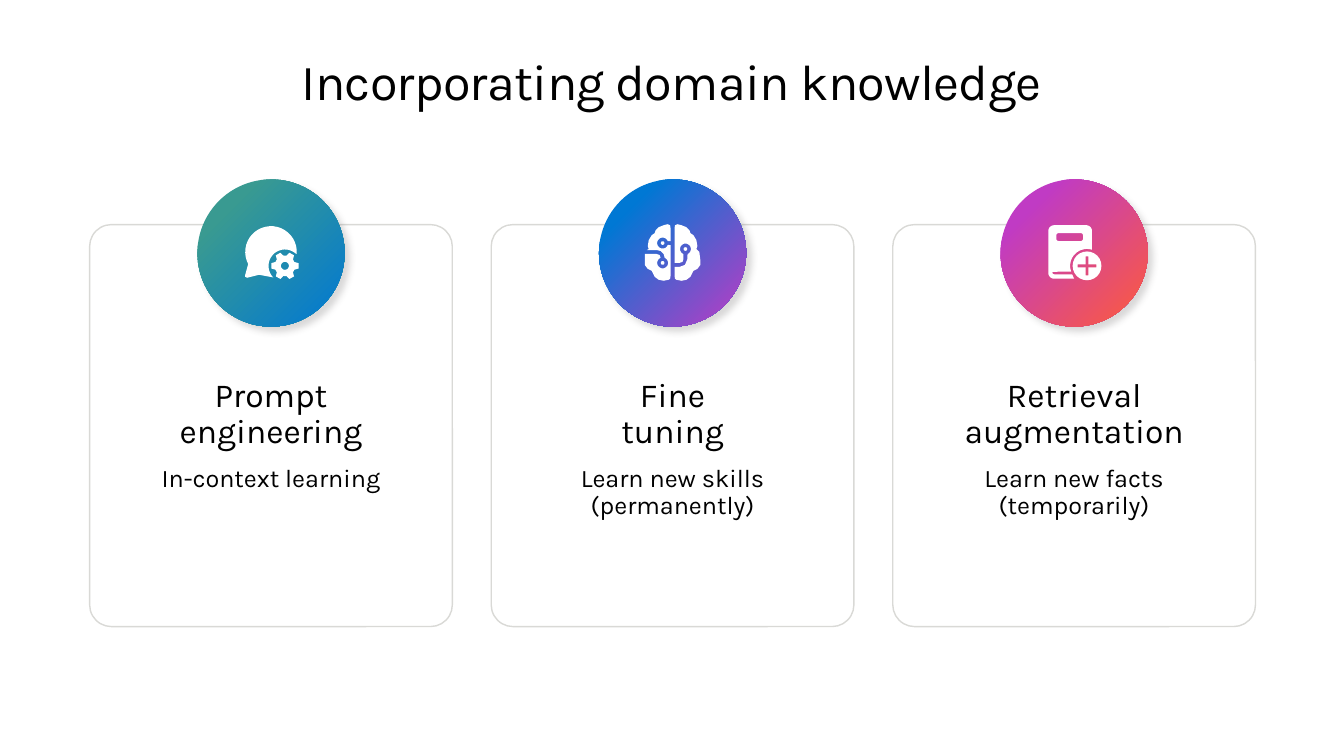
from dataclasses import dataclass
from math import cos, radians, sin

from pptx import Presentation
from pptx.dml.color import RGBColor
from pptx.enum.shapes import MSO_SHAPE
from pptx.enum.text import MSO_ANCHOR, MSO_AUTO_SIZE, PP_ALIGN
from pptx.oxml import parse_xml
from pptx.oxml.ns import nsdecls, qn
from pptx.util import Cm, Pt


@dataclass(frozen=True)
class Theme:
    font: str = "Karla"
    text: str = "000000"
    surface: str = "FFFFFF"
    border: str = "D9D9D6"
    shadow: str = "454142"
    green: str = "399A91"
    blue: str = "0078D4"
    purple: str = "C03BC4"
    orange: str = "FF5C39"
    title_size: int = 36
    heading_size: int = 24
    body_size: int = 18


theme = Theme()


def write_text(box, text, size, line_spacing=1.0, tracking=None):
    """Fill a box with centred text; a vertical tab breaks a line."""
    frame = box.text_frame
    frame.word_wrap = True
    frame.auto_size = MSO_AUTO_SIZE.NONE
    frame.vertical_anchor = MSO_ANCHOR.TOP
    frame.margin_left = frame.margin_right = 0
    frame.margin_top = frame.margin_bottom = 0
    frame.text = text
    for para in frame.paragraphs:
        para.alignment = PP_ALIGN.CENTER
        para.line_spacing = line_spacing
        para.space_before = para.space_after = Pt(0)
        for span in para.runs:
            span.font.name = theme.font
            span.font.size = Pt(size)
            span.font.color.rgb = RGBColor.from_string(theme.text)
            if tracking is not None:
                span.font._element.set("spc", str(int(tracking * 100)))


def arc(x, y, radius, start=0, end=360, steps=24):
    """Points along an arc, with angles in degrees, clockwise from the right."""
    angles = [radians(start + (end - start) * i / steps) for i in range(steps + 1)]
    return [(x + radius * cos(a), y + radius * sin(a)) for a in angles]


# Icon outlines, in units of 0.025 cm from the circle centre
bubble = (arc(14, 13, 16.5, -47, -225)
          + [(-12, 22), (-24, 25), (-26, 24), (-26, 22), (-23, 11)]
          + arc(0, -1, 26, 152, 364))
gear = [point for angle in range(0, 360, 60)
        for point in arc(14, 13, 14, angle - 11, angle + 11, 1)
        + arc(14, 13, 10.3, angle + 22, angle + 38, 2)]
chat_icon = [bubble, gear, arc(14, 13, 4)]

lobe_top = [(5, -29), (9, -28), (14, -26), (17, -23), (18, -20), (21, -18),
            (24, -13), (25, -7), (24, -4)]
lobe_bottom = [(28, 7), (28, 12), (25, 16), (21, 18), (18, 24), (14, 27),
               (9, 28), (4, 27), (2.5, 26), (2, 23)]
left_lobe = ([(-x, y) for x, y in reversed(lobe_bottom)]
             + [(-28, 1), (-16, 1), (-13, 2)]
             + arc(-10, 10, 5.5, -112, -428)
             + [(-9, 1), (-12, -2), (-16, -3), (-26, -3)]
             + [(-x, y) for x, y in reversed(lobe_top)]
             + [(-2.5, -28), (-2, -25), (-2, -12)]
             + arc(-10, -10, 5.5, -20, -340) + [(-2, -8)])
right_lobe = ([(2, 14), (7, 14), (12.5, 12), (15, 6)]
              + arc(13, -4, 5.5, 68, -248)
              + [(11, 6), (10, 9), (7, 10), (2, 10), (2, -25), (2.5, -28)]
              + lobe_top + [(27, -1)] + lobe_bottom)
brain_icon = [left_lobe, right_lobe, arc(-10, -10, 1.8), arc(-10, 10, 1.8),
              arc(13, -4, 1.8)]

book = (arc(-20, -22, 6, 180, 270) + arc(12, -22, 6, 270, 360)
        + arc(13, 13, 17, -73, -200)
        + [(-22, 19), (-21.5, 21), (-20, 21.5), (-2, 21.5), (0, 26)]
        + arc(-20, 20, 6, 90, 180))
label = [point for x, y, angle in [(-15.5, -17.5, 180), (6.5, -17.5, 270),
                                   (6.5, -14.5, 0), (-15.5, -14.5, 90)]
         for point in arc(x, y, 2.5, angle, angle + 90, 6)]
plus = [(11.5, 3.5), (14.5, 3.5), (14.5, 11.5), (22.5, 11.5), (22.5, 14.5),
        (14.5, 14.5), (14.5, 22.5), (11.5, 22.5), (11.5, 14.5), (3.5, 14.5),
        (3.5, 11.5), (11.5, 11.5)]
book_icon = [book, label, arc(13, 13, 14.5), plus]

cards = [
    ("Prompt\vengineering", "In-context learning",
     theme.blue, theme.green, chat_icon),
    ("Fine\vtuning", "Learn new skills\n(permanently)",
     theme.purple, theme.blue, brain_icon),
    ("Retrieval\vaugmentation", "Learn new facts\n(temporarily)",
     theme.orange, theme.purple, book_icon),
]

# Slide and title
deck = Presentation()
deck.slide_width, deck.slide_height = Cm(33.87), Cm(19.05)
page = deck.slides.add_slide(deck.slide_layouts[5])
title = page.shapes.title
title.left, title.top, title.width, title.height = Cm(1.63), Cm(1.27), Cm(30.6), Cm(1.55)
write_text(title, "Incorporating domain knowledge", theme.title_size, tracking=-0.5)

# Cards in equal columns
card_width, card_pitch, circle_size = Cm(9.14), Cm(10.12), Cm(3.71)
circle_top = Cm(4.52)
for column, (heading, detail, inner, outer, icon) in enumerate(cards):
    left = Cm(2.26) + column * card_pitch
    centre = left + card_width // 2

    # Card frame
    card = page.shapes.add_shape(MSO_SHAPE.ROUNDED_RECTANGLE, left, Cm(5.66),
                                 card_width, Cm(10.13))
    card.adjustments[0] = 0.06
    card.shadow.inherit = False
    card.fill.solid()
    card.fill.fore_color.rgb = RGBColor.from_string(theme.surface)
    card.line.color.rgb = RGBColor.from_string(theme.border)
    card.line.width = Pt(1)

    # Circle with a radial gradient and a soft shadow
    circle = page.shapes.add_shape(MSO_SHAPE.OVAL, centre - circle_size // 2,
                                   circle_top, circle_size, circle_size)
    circle.shadow.inherit = False
    circle.line.fill.background()
    circle.fill.solid()
    properties = circle._element.spPr
    properties.replace(properties.find(qn("a:solidFill")), parse_xml(
        f'<a:gradFill {nsdecls("a")} rotWithShape="1"><a:gsLst>'
        f'<a:gs pos="0"><a:srgbClr val="{inner}"/></a:gs>'
        f'<a:gs pos="80000"><a:srgbClr val="{outer}"/></a:gs></a:gsLst>'
        '<a:path path="circle"><a:fillToRect l="100000" t="100000"/></a:path>'
        '<a:tileRect r="-100000" b="-100000"/></a:gradFill>'))
    properties.find(qn("a:effectLst")).append(parse_xml(
        f'<a:outerShdw {nsdecls("a")} blurRad="{Pt(5)}" dist="{Pt(5)}" '
        f'dir="2700000" algn="tl" rotWithShape="0"><a:srgbClr val="{theme.shadow}">'
        '<a:alpha val="20000"/></a:srgbClr></a:outerShdw>'))

    # Icon
    contours = [[(10 * x, 10 * y) for x, y in contour] for contour in icon]
    builder = page.shapes.build_freeform(*contours[0][0], scale=Cm(0.0025))
    builder.add_line_segments(contours[0][1:])
    for contour in contours[1:]:
        builder.move_to(*contour[0])
        builder.add_line_segments(contour[1:])
    symbol = builder.convert_to_shape(centre, circle_top + circle_size // 2)
    symbol.shadow.inherit = False
    symbol.fill.solid()
    symbol.fill.fore_color.rgb = RGBColor.from_string(theme.surface)
    symbol.line.fill.background()

    # Heading and detail
    for text, top, height, size in [(heading, 9.53, 1.85, theme.heading_size),
                                    (detail, 11.73, 1.4, theme.body_size)]:
        box = page.shapes.add_textbox(left, Cm(top), card_width, Cm(height))
        write_text(box, text, size, line_spacing=0.9)

deck.save("out.pptx")
